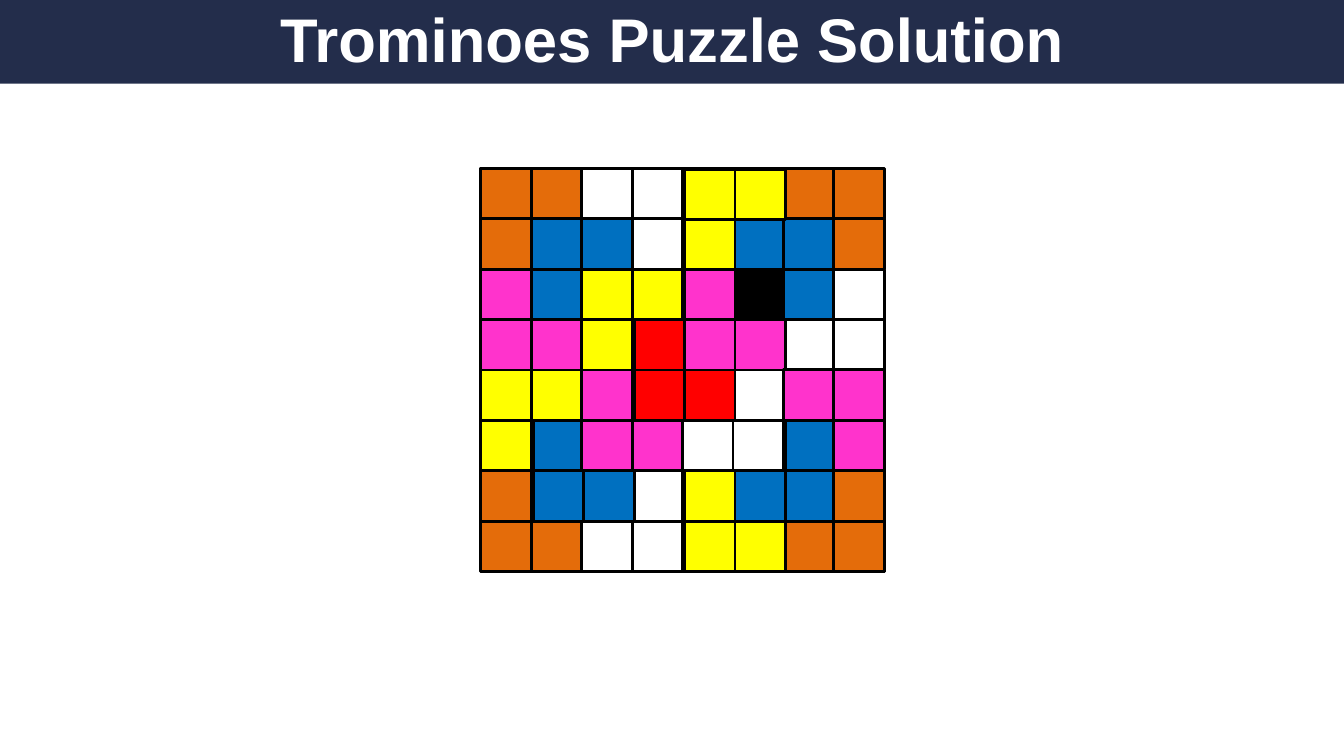
from pptx import Presentation
from pptx.dml.color import RGBColor
from pptx.enum.shapes import MSO_SHAPE
from pptx.enum.text import MSO_ANCHOR, MSO_AUTO_SIZE, PP_ALIGN
from pptx.util import Inches, Pt

RECTANGLE = MSO_SHAPE.RECTANGLE
MIDDLE = MSO_ANCHOR.MIDDLE
NO_AUTOFIT = MSO_AUTO_SIZE.NONE
CENTER = PP_ALIGN.CENTER

TITLE_ONLY = 5
BOARD_LEFT, BOARD_TOP, CELL = 4.77, 1.67, 0.5
NAVY, WHITE, BLACK = "232D4B", "FFFFFF", "000000"
RED, BLUE, ORANGE = "FF0000", "0070C0", "E46C0A"
YELLOW, PINK = "FFFF00", "FF33CC"

# Squares drawn on the board: "o" is open, "x" is the missing square
BOARD = [
    "oooooo  ",
    "ooooo   ",
    "ooooox o",
    "oooooooo",
    "oooooo  ",
    "ooooooo ",
    "oooooooo",
    "oooooooo",
]

# Column and row steps from the corner square, by rotation
TROMINO_STEPS = {
    0: [(-1, 0), (0, 0), (0, 1)],
    90: [(0, -1), (0, 0), (-1, 0)],
    180: [(1, 0), (0, 0), (0, -1)],
    270: [(0, 1), (0, 0), (1, 0)],
}

# Colour, corner column, corner row, rotation, shift right, shift down
TROMINOES = [
    (RED, 3, 4, 180, 0.02, 0),
    (BLUE, 1, 6, 180, 0.02, 0),
    (BLUE, 6, 6, 90, 0.02, 0),
    (BLUE, 1, 1, 270, 0, 0),
    (BLUE, 6, 1, 0, 0, 0),
    (ORANGE, 0, 0, 270, 0, 0),
    (ORANGE, 7, 0, 0, 0, 0),
    (ORANGE, 7, 7, 90, 0, 0),
    (ORANGE, 0, 7, 180, 0, 0),
    (YELLOW, 0, 4, 270, 0, 0),
    (YELLOW, 4, 0, 270, 0.02, 0.01),
    (YELLOW, 4, 7, 180, 0.02, 0),
    (YELLOW, 2, 2, 270, 0, 0),
    (PINK, 0, 3, 180, 0, 0),
    (PINK, 4, 3, 180, 0.02, 0),
    (PINK, 2, 5, 180, 0, 0),
    (PINK, 7, 4, 0, 0, 0),
]


def color(hex_string):
    return RGBColor.from_string(hex_string)


def add_rectangle(shapes, left, top, width, height, fill=None, line=None):
    box = shapes.add_shape(RECTANGLE, Inches(left), Inches(top),
                           Inches(width), Inches(height))
    box.shadow.inherit = False
    if fill:
        box.fill.solid()
        box.fill.fore_color.rgb = color(fill)
    else:
        box.fill.background()
    if line:
        box.line.color.rgb = color(line)
        box.line.width = Pt(2)
    else:
        box.line.fill.background()
    return box


def add_square(group, column, row, fill=None, shift_right=0, shift_down=0):
    return add_rectangle(group.shapes,
                         BOARD_LEFT + column * CELL + shift_right,
                         BOARD_TOP + row * CELL + shift_down,
                         CELL, CELL, fill, BLACK)


def add_title(page, text):
    title = page.shapes.title
    title.left, title.top = Inches(0.67), Inches(-0.25)
    title.width, title.height = Inches(12), Inches(1.25)
    frame = title.text_frame
    frame.text = text
    frame.auto_size = NO_AUTOFIT
    frame.vertical_anchor = MIDDLE
    para = frame.paragraphs[0]
    para.alignment = CENTER
    font = para.runs[0].font
    font.name, font.size, font.bold = "Arial", Pt(44), True
    font.color.rgb = color(WHITE)

    # Band behind the title
    band = add_rectangle(page.shapes, 0, 0, 13.33, 0.83, NAVY)
    title._element.addprevious(band._element)


def add_board(page):
    group = page.shapes.add_group_shape()
    for row, marks in enumerate(BOARD):
        for column, mark in enumerate(marks):
            if mark != " ":
                add_square(group, column, row, BLACK if mark == "x" else None)


def add_tromino(page, fill, column, row, rotation, shift_right, shift_down):
    group = page.shapes.add_group_shape()
    for column_step, row_step in TROMINO_STEPS[rotation]:
        square = add_square(group, column + column_step, row + row_step,
                            fill, shift_right, shift_down)
        square.rotation = rotation


def main():
    deck = Presentation()
    deck.slide_width, deck.slide_height = Inches(13.33), Inches(7.5)
    page = deck.slides.add_slide(deck.slide_layouts[TITLE_ONLY])

    add_title(page, "Trominoes Puzzle Solution")
    add_board(page)
    for tromino in TROMINOES:
        add_tromino(page, *tromino)

    deck.save("out.pptx")


if __name__ == "__main__":
    main()
